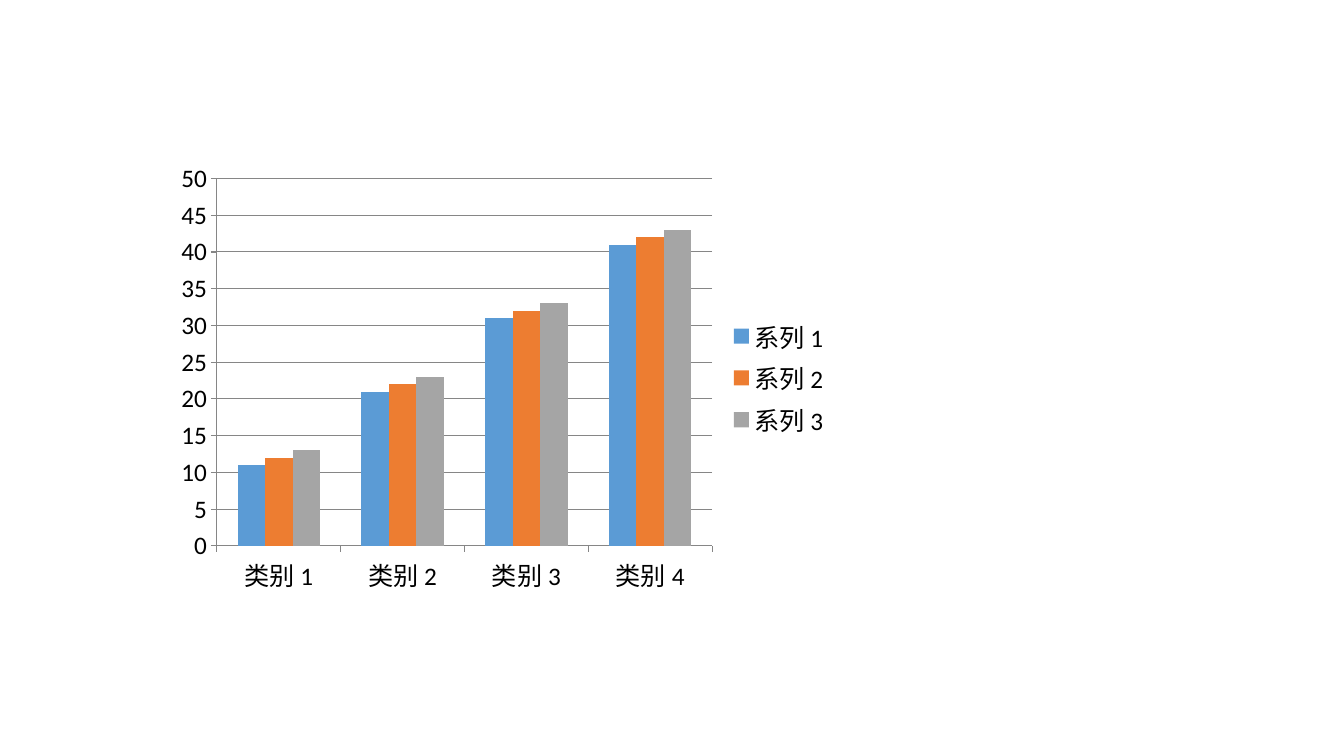
import pptx
import pptx.chart.data
import pptx.dml.color
import pptx.enum.chart
import pptx.util

PX = 9525
COLORS = {
    "text": "000000",
    "rule": "868686",
    "系列 1": "5B9BD5",
    "系列 2": "ED7D31",
    "系列 3": "A5A5A5",
}
CATEGORIES = ["类别 1", "类别 2", "类别 3", "类别 4"]
SERIES = {
    "系列 1": [11, 21, 31, 41],
    "系列 2": [12, 22, 32, 42],
    "系列 3": [13, 23, 33, 43],
}


def px(length):
    return pptx.util.Emu(length * PX)


def rgb(name):
    return pptx.dml.color.RGBColor.from_string(COLORS[name])


def format_text(text, *, size, color, family="Calibri"):
    text.font.size = pptx.util.Pt(size)
    text.font.name = family
    text.font.color.rgb = rgb(color)


def format_line(line):
    line.color.rgb = rgb("rule")
    line.width = pptx.util.Pt(0.75)


def format_axis(axis):
    axis.major_tick_mark = pptx.enum.chart.XL_TICK_MARK.OUTSIDE
    axis.minor_tick_mark = pptx.enum.chart.XL_TICK_MARK.NONE
    format_line(axis.format.line)
    format_text(axis.tick_labels, size=18, color="text")


def add_legend(chart):
    chart.has_legend = True
    chart.legend.position = pptx.enum.chart.XL_LEGEND_POSITION.RIGHT
    chart.legend.include_in_layout = False
    format_text(chart.legend, size=18, color="text")


def add_column_chart(slide, left, top, width, height):
    figures = pptx.chart.data.CategoryChartData()
    figures.categories = CATEGORIES
    for name, values in SERIES.items():
        figures.add_series(name, values)
    chart = slide.shapes.add_chart(
        pptx.enum.chart.XL_CHART_TYPE.COLUMN_CLUSTERED,
        px(left), px(top), px(width), px(height), figures,
    ).chart
    chart.has_title = False
    format_text(chart, size=18, color="text")

    columns = chart.plots[0]
    columns.gap_width = 150
    columns.overlap = 0
    columns.vary_by_categories = False
    for series in columns.series:
        series.format.fill.solid()
        series.format.fill.fore_color.rgb = rgb(series.name)

    format_axis(chart.category_axis)
    format_axis(chart.value_axis)
    chart.value_axis.minimum_scale = 0
    chart.value_axis.maximum_scale = 50
    chart.value_axis.major_unit = 5
    chart.value_axis.has_major_gridlines = True
    format_line(chart.value_axis.major_gridlines.format.line)
    add_legend(chart)


def main():
    deck = pptx.Presentation()
    deck.slide_width = px(1280)
    deck.slide_height = px(720)
    slide = deck.slides.add_slide(deck.slide_layouts[6])
    add_column_chart(slide, 160, 147, 640, 426)
    deck.save("out.pptx")


if __name__ == "__main__":
    main()
